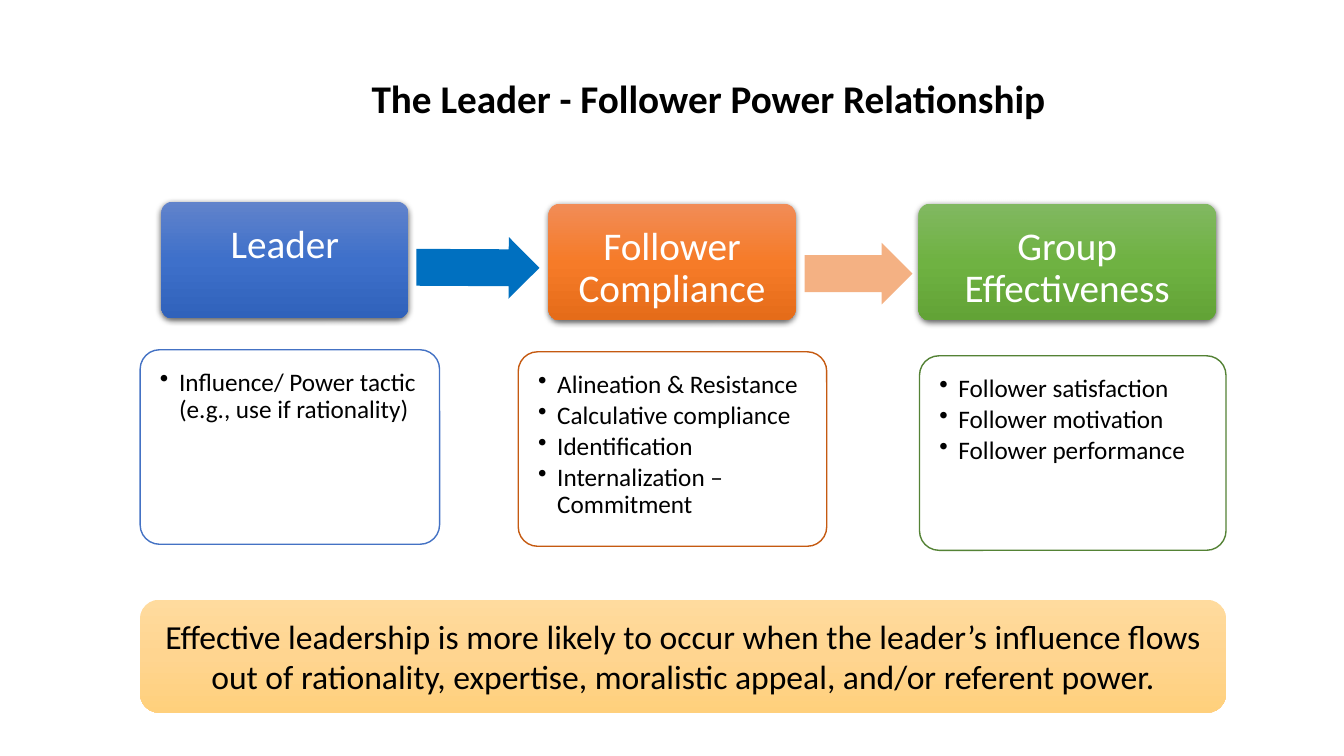
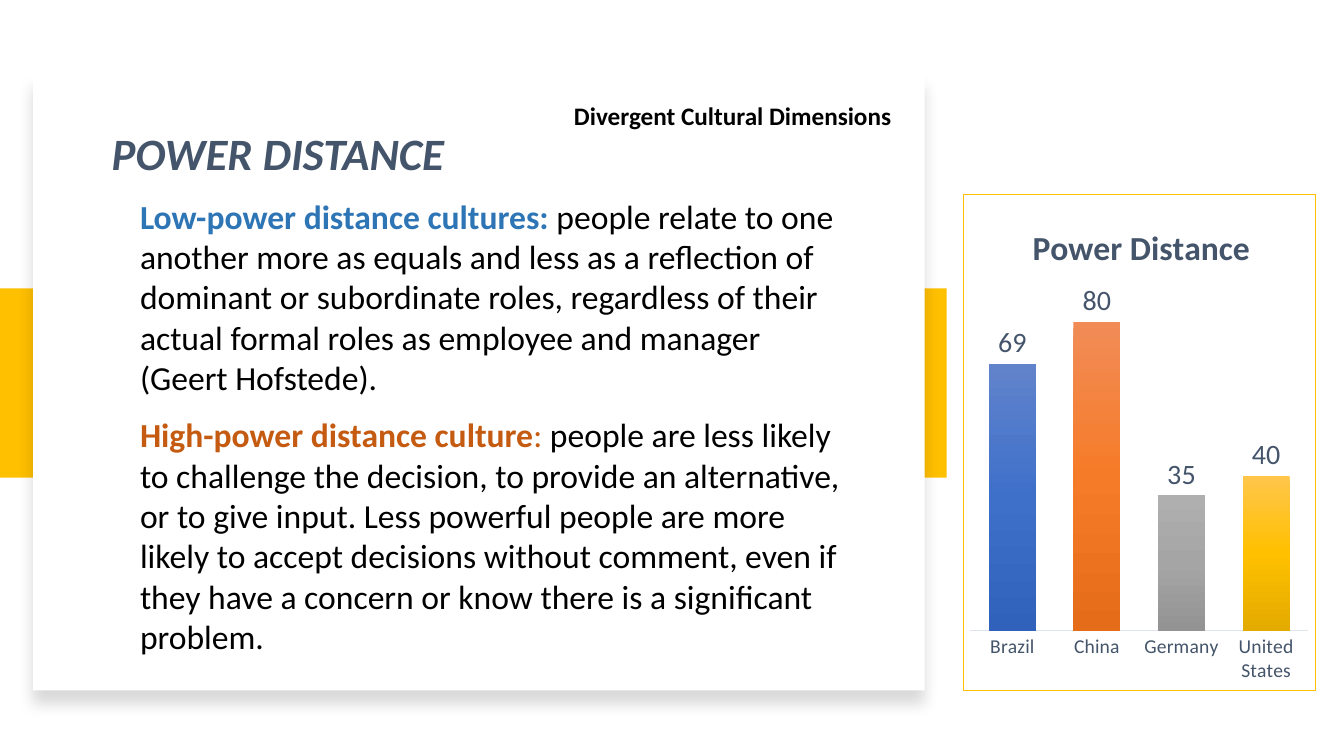
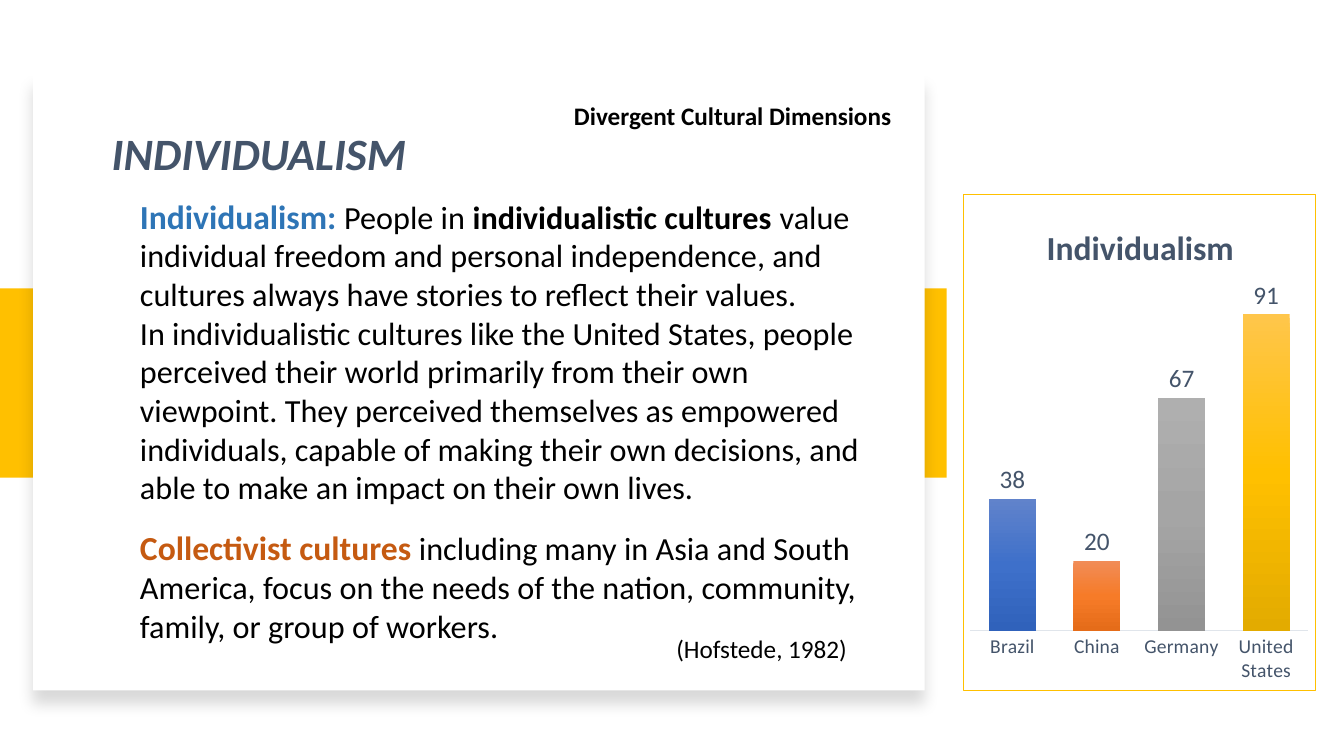
import copy

import lxml.etree
import pptx
import pptx.chart.data
import pptx.dml.color
import pptx.enum.chart
import pptx.enum.shapes
import pptx.enum.text
import pptx.oxml
import pptx.oxml.ns
import pptx.util

Inches = pptx.util.Inches
Pt = pptx.util.Pt
qn = pptx.oxml.ns.qn
SHAPE = pptx.enum.shapes.MSO_SHAPE
ALIGN = pptx.enum.text.PP_ALIGN
ANCHOR = pptx.enum.text.MSO_ANCHOR

FONT = "Calibri"
BLACK, WHITE, SLATE, GOLD = "000000", "FFFFFF", "44546A", "FFC000"
LOW_BLUE, HIGH_ORANGE, AXIS_GRAY = "2E75B6", "C55A11", "E0E5EB"
BLUE_FADE = ("6183CB", "3E70CA", "3062BB")
ORANGE_FADE = ("F18C57", "F67B28", "E56C19")
GREEN_FADE = ("81B861", "6FB242", "62A336")
GRAY_FADE = ("AFAFAF", "A5A5A5", "939393")
GOLD_FADE = ("FFC64B", "FFC000", "E3AB00")
BANNER_FADE = ("FFDB9E", "FFD590", "FFD07C")

COUNTRIES = ("Brazil", "China", "Germany", "United States")
COUNTRY_FADES = (BLUE_FADE, ORANGE_FADE, GRAY_FADE, GOLD_FADE)

CARD_SHADOW = {"alpha": 63, "blur": 4.5, "distance": 1.5}
PANEL_SHADOW = {"alpha": 15, "blur": 11, "distance": 10}

STAGES = (
    {"heading": "Leader", "fade": BLUE_FADE, "outline": "4472C4",
     "card": (1.6, 2, 2.45, 1.16), "detail": (1.39, 3.47, 2.97, 1.93),
     "points": ("Influence/ Power tactic (e.g., use if rationality)",)},
    {"heading": "Follower Compliance", "fade": ORANGE_FADE, "outline": HIGH_ORANGE,
     "card": (5.44, 2.02, 2.45, 1.16), "detail": (5.14, 3.49, 3.06, 1.93),
     "points": ("Alineation & Resistance", "Calculative compliance",
                "Identification", "Internalization – Commitment")},
    {"heading": "Group Effectiveness", "fade": GREEN_FADE, "outline": "548235",
     "card": (9.11, 2.02, 2.95, 1.16), "detail": (9.12, 3.53, 3.04, 1.93),
     "points": ("Follower satisfaction", "Follower motivation", "Follower performance")},
)

FLOW_ARROWS = (
    ((4.13, 2.35, 1.22, 0.61), "0070C0", 0.3),
    ((7.98, 2.41, 1.07, 0.61), "F4B183", 0),
)

DIMENSIONS = (
    {"heading": "POWER DISTANCE", "chart_title": "Power Distance", "title_left": 0.18,
     "scores": (69, 80, 35, 40), "scale_top": 90, "label_size": 20,
     "passages": (
         ((1.29, 1.89, 7.21, 2.12), (
             (("Low-power distance cultures: ", 24, LOW_BLUE, True),
              ("people relate to one another more as equals and less as a reflection of "
               "dominant or subordinate roles, regardless of their actual formal roles as "
               "employee and manager (Geert Hofstede).", 24, BLACK, False)),)),
         ((1.29, 4.06, 7.21, 2.52), (
             (("High-power distance culture", 24, HIGH_ORANGE, True),
              (": ", 24, HIGH_ORANGE, False),
              ("people are less likely to challenge the decision, to provide an alternative, "
               "or to give input. Less powerful people are more likely to accept decisions "
               "without comment, even if they have a concern or know there is a significant "
               "problem.", 24, BLACK, False)),)),
     )},
    {"heading": "INDIVIDUALISM", "chart_title": "Individualism", "title_left": 0.22,
     "scores": (38, 20, 67, 91), "scale_top": 100, "label_size": 18,
     "citation": "(Hofstede, 1982)",
     "passages": (
         ((1.29, 1.89, 7.53, 3.33), (
             (("Individualism: ", 24, LOW_BLUE, True),
              ("People in ", 23, BLACK, False),
              ("individualistic cultures ", 23, BLACK, True),
              ("value individual freedom and personal independence, and cultures always "
               "have stories to reflect their values.", 23, BLACK, False)),
             (("In individualistic cultures like the United States, people perceived their "
               "world primarily from their own viewpoint. They perceived themselves as "
               "empowered individuals, capable of making their own decisions, and able to "
               "make an impact on their own lives.", 23, BLACK, False),))),
         ((1.29, 5.18, 7.4, 1.28), (
             (("Collectivist cultures ", 24, HIGH_ORANGE, True),
              ("including many in Asia and South America, focus on the needs of the nation, "
               "community, family, or group of workers.", 23, BLACK, False)),)),
     )},
)


def rgb(value):
    return pptx.dml.color.RGBColor.from_string(value)


def apply(target, **values):
    for name, value in values.items():
        setattr(target, name, value)


def style_font(font, size, color, **values):
    apply(font, name=FONT, size=Pt(size), **values)
    font.color.rgb = rgb(color)


def paint(fill, color):
    if isinstance(color, str):
        fill.solid()
        fill.fore_color.rgb = rgb(color)
        return
    fill.gradient()
    fill.gradient_angle = 270
    stop_list = fill.gradient_stops._gsLst
    stop_list.insert(1, copy.deepcopy(stop_list[0]))
    for index, stop in enumerate(fill.gradient_stops):
        stop.position = index / 2
        stop.color.rgb = rgb(color[index])


def cast_shadow(shape, alpha, blur, distance):
    effects = shape._element.spPr.find(qn("a:effectLst"))
    outer = lxml.etree.SubElement(effects, qn("a:outerShdw"), blurRad=str(Pt(blur)),
                                  dist=str(Pt(distance)), dir="5400000",
                                  algn="ctr", rotWithShape="0")
    tone = lxml.etree.SubElement(outer, qn("a:srgbClr"), val=BLACK)
    lxml.etree.SubElement(tone, qn("a:alpha"), val=str(alpha * 1000))


def add_block(slide, kind, box, color, outline=None, corner=None, shadow=None):
    block = slide.shapes.add_shape(kind, *map(Inches, box))
    block.shadow.inherit = False
    paint(block.fill, color)
    if outline:
        paint(block.line.fill, outline)
        block.line.width = Pt(1)
    else:
        block.line.fill.background()
    if corner:
        block.adjustments[0] = corner
    if shadow:
        cast_shadow(block, **shadow)
    return block


def write(frame, paragraphs, bullet=False, anchor=ANCHOR.TOP, insets=None, italic=False, **layout):
    apply(frame, word_wrap=True, vertical_anchor=anchor)
    if insets:
        sides = ("margin_left", "margin_top", "margin_right", "margin_bottom")
        apply(frame, **dict(zip(sides, map(Inches, insets))))
    for index, runs in enumerate(paragraphs):
        paragraph = frame.add_paragraph() if index else frame.paragraphs[0]
        apply(paragraph, **{"alignment": ALIGN.LEFT, **layout})
        if bullet:
            properties = paragraph._p.get_or_add_pPr()
            properties.set("marL", str(Inches(0.19)))
            properties.set("indent", str(-Inches(0.19)))
            lxml.etree.SubElement(properties, qn("a:buChar"), char="•")
        for text, size, color, bold in runs:
            run = paragraph.add_run()
            run.text = text
            style_font(run.font, size, color, bold=bold, italic=italic)


def add_text(slide, box, paragraphs, **layout):
    write(slide.shapes.add_textbox(*map(Inches, box)).text_frame, paragraphs, **layout)


def place(part, index, **fractions):
    for previous in part.findall(qn("c:layout")):
        part.remove(previous)
    layout = lxml.etree.Element(qn("c:layout"))
    manual = lxml.etree.SubElement(layout, qn("c:manualLayout"))
    settings = {"xMode": "edge", "yMode": "edge", **fractions}
    if "w" in fractions:
        settings = {"layoutTarget": "inner", **settings}
    for name, value in settings.items():
        lxml.etree.SubElement(manual, qn("c:" + name), val=str(value))
    part.insert(index, layout)


def frame_chart(chart):
    border = pptx.oxml.parse_xml(
        f'<c:spPr {pptx.oxml.ns.nsdecls("c", "a")}>'
        f'<a:solidFill><a:srgbClr val="{WHITE}"/></a:solidFill>'
        f'<a:ln w="{Pt(0.25)}"><a:solidFill><a:srgbClr val="{GOLD}"/></a:solidFill></a:ln>'
        '</c:spPr>')
    chart._chartSpace.find(qn("c:txPr")).addprevious(border)


def add_score_chart(slide, dimension):
    scores = pptx.chart.data.CategoryChartData()
    scores.categories = COUNTRIES
    scores.add_series("Series 1", dimension["scores"])
    chart = slide.shapes.add_chart(
        pptx.enum.chart.XL_CHART_TYPE.COLUMN_CLUSTERED,
        *map(Inches, (9.55, 1.92, 3.5, 4.93)), scores).chart
    style_font(chart.font, 16, BLACK)
    frame_chart(chart)
    apply(chart, has_legend=False, has_title=True)
    heading = chart.chart_title.text_frame.paragraphs[0].add_run()
    heading.text = dimension["chart_title"]
    style_font(heading.font, 24, SLATE, bold=True)
    place(chart.chart_title._element, 1, x=dimension["title_left"], y=0.05)
    place(chart._chartSpace.chart.plotArea, 0, x=0.02, y=0.18, w=0.96, h=0.7)

    no_tick = pptx.enum.chart.XL_TICK_MARK.NONE
    apply(chart.value_axis, visible=False, has_major_gridlines=False,
          minimum_scale=0, maximum_scale=dimension["scale_top"])
    apply(chart.category_axis, major_tick_mark=no_tick, minor_tick_mark=no_tick)
    style_font(chart.category_axis.tick_labels.font, 14, SLATE)
    paint(chart.category_axis.format.line.fill, AXIS_GRAY)
    chart.category_axis.format.line.width = Pt(0.75)

    columns = chart.plots[0]
    apply(columns, gap_width=80, overlap=-50, vary_by_categories=False, has_data_labels=True)
    apply(columns.data_labels, show_value=True,
          position=pptx.enum.chart.XL_LABEL_POSITION.OUTSIDE_END)
    style_font(columns.data_labels.font, dimension["label_size"], SLATE)
    for index, fade in enumerate(COUNTRY_FADES):
        paint(columns.series[0].points[index].format.fill, fade)


def add_stage(slide, stage):
    card = add_block(slide, SHAPE.ROUNDED_RECTANGLE, stage["card"], stage["fade"],
                     corner=0.1, shadow=CARD_SHADOW)
    write(card.text_frame, [[(stage["heading"], 28, WHITE, False)]],
          insets=(0.19, 0.19, 0.19, 0), alignment=ALIGN.CENTER, line_spacing=0.9)
    detail = add_block(slide, SHAPE.ROUNDED_RECTANGLE, stage["detail"], WHITE,
                       outline=stage["outline"], corner=0.1)
    write(detail.text_frame, [[(point, 18, BLACK, False)] for point in stage["points"]],
          bullet=True, insets=(0.14,) * 4, line_spacing=0.9, space_after=Pt(2.7))


def build_relationship(slide):
    for stage in STAGES:
        add_stage(slide, stage)
    for box, color, tilt in FLOW_ARROWS:
        arrow = add_block(slide, SHAPE.RIGHT_ARROW, box, color, corner=0.6)
        arrow.rotation = tilt
    add_text(slide, (2.05, 0.3, 9.95, 1.39),
             [[("The Leader - Follower Power Relationship", 28, BLACK, True)]],
             anchor=ANCHOR.MIDDLE, alignment=ALIGN.CENTER, line_spacing=0.9)
    conclusion = add_block(slide, SHAPE.ROUNDED_RECTANGLE, (1.39, 5.95, 10.77, 1.12), BANNER_FADE)
    write(conclusion.text_frame,
          [[("Effective leadership is more likely to occur when the leader’s influence flows "
             "out of rationality, expertise, moralistic appeal, and/or referent power.",
             24, BLACK, False)]],
          anchor=ANCHOR.MIDDLE, alignment=ALIGN.CENTER)


def build_dimension(slide, dimension):
    add_block(slide, SHAPE.RECTANGLE, (0, 2.86, 9.39, 1.88), GOLD)
    add_block(slide, SHAPE.RECTANGLE, (0.33, 0.73, 8.84, 6.12), WHITE, shadow=PANEL_SHADOW)
    add_score_chart(slide, dimension)
    add_text(slide, (4.23, 0.75, 4.71, 0.83),
             [[("Divergent Cultural Dimensions", 18, BLACK, True)]],
             anchor=ANCHOR.MIDDLE, alignment=ALIGN.RIGHT, line_spacing=0.9, space_after=Pt(6))
    for box, paragraphs in dimension["passages"]:
        add_text(slide, box, paragraphs)
    add_text(slide, (1.01, 1.2, 6.67, 0.64),
             [[(dimension["heading"], 32, SLATE, True)]], italic=True)
    if "citation" in dimension:
        add_text(slide, (6.16, 6.23, 2.34, 0.4),
                 [[(dimension["citation"], 18, BLACK, False)]], alignment=ALIGN.RIGHT)


def main():
    deck = pptx.Presentation()
    apply(deck, slide_width=Inches(13.33), slide_height=Inches(7.5))
    blank = deck.slide_layouts[6]
    build_relationship(deck.slides.add_slide(blank))
    for dimension in DIMENSIONS:
        build_dimension(deck.slides.add_slide(blank), dimension)
    deck.save("out.pptx")


if __name__ == "__main__":
    main()
